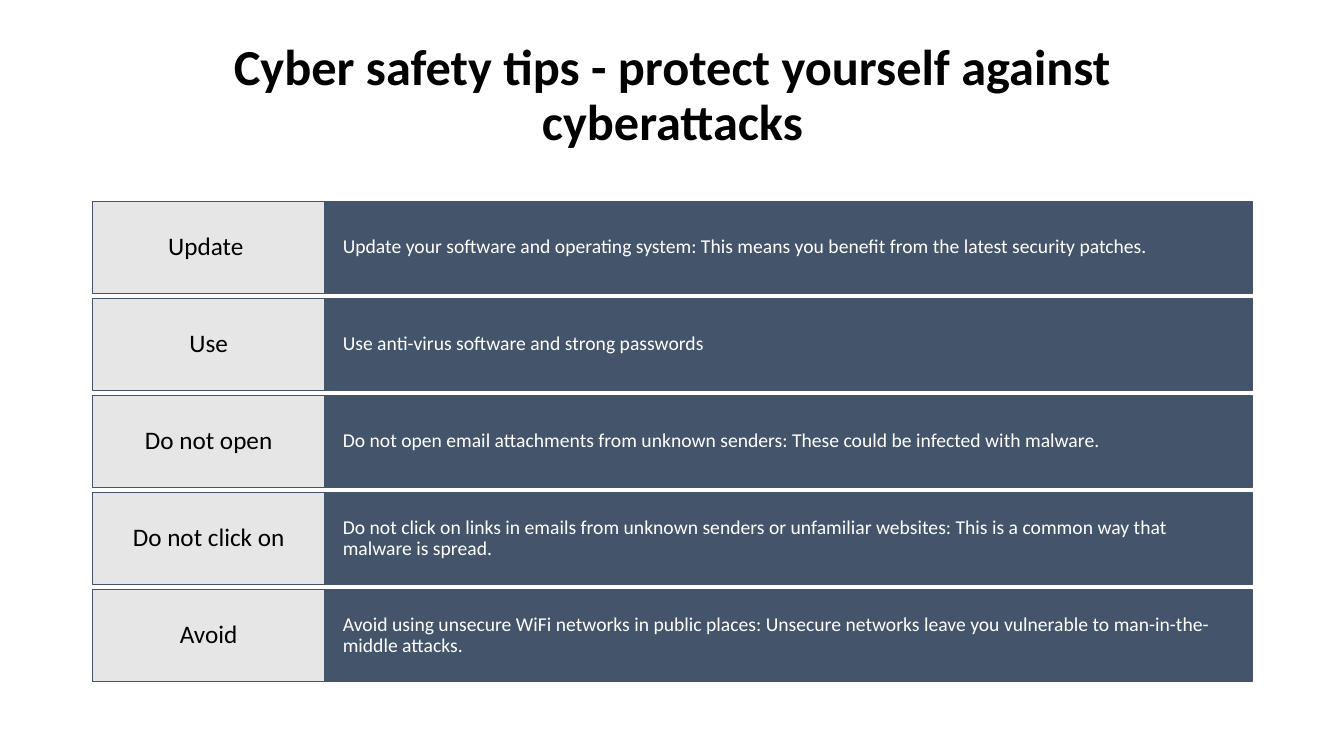
from pptx import Presentation
from pptx.dml.color import RGBColor
from pptx.enum.shapes import MSO_SHAPE as Shape
from pptx.enum.text import MSO_ANCHOR as Anchor, MSO_AUTO_SIZE as AutoSize, PP_ALIGN as Align
from pptx.util import Inches, Pt

FONT = "Calibri"
SLATE = RGBColor(0x44, 0x54, 0x6A)
LIGHT_GREY = RGBColor(0xE7, 0xE6, 0xE6)
BLACK = RGBColor(0, 0, 0)
WHITE = RGBColor(0xFF, 0xFF, 0xFF)

TITLE = "Cyber safety tips - protect yourself against cyberattacks"
TIPS = [
    ("Update ", "Update your software and operating system: This means you benefit "
     "from the latest security patches."),
    ("Use", "Use anti-virus software and strong passwords"),
    ("Do not open", "Do not open email attachments from unknown senders: These could "
     "be infected with malware."),
    ("Do not click on", "Do not click on links in emails from unknown senders or "
     "unfamiliar websites: This is a common way that malware is spread."),
    ("Avoid", "Avoid using unsecure WiFi networks in public places: Unsecure networks "
     "leave you vulnerable to man-in-the-middle attacks."),
]


def write_text(frame, text, size, color, align, bold=False):
    frame.word_wrap = True
    frame.auto_size = AutoSize.NONE
    frame.vertical_anchor = Anchor.MIDDLE
    para = frame.paragraphs[0]
    para.alignment = align
    para.line_spacing = 0.9
    span = para.add_run()
    span.text = text
    span.font.name = FONT
    span.font.size = Pt(size)
    span.font.bold = bold
    span.font.color.rgb = color


def place_title(page, left, top, width, height):
    title = page.shapes.title
    title.left, title.top = Inches(left), Inches(top)
    title.width, title.height = Inches(width), Inches(height)
    write_text(title.text_frame, TITLE, 36, BLACK, Align.CENTER, bold=True)


def add_panel(page, left, top, width, height, fill, inset_x, inset_y):
    box = page.shapes.add_shape(
        Shape.RECTANGLE, Inches(left), Inches(top), Inches(width), Inches(height))
    box.shadow.inherit = False
    box.fill.solid()
    box.fill.fore_color.rgb = fill
    box.line.color.rgb = SLATE
    box.line.width = Pt(1)
    frame = box.text_frame
    frame.margin_left = frame.margin_right = Inches(inset_x)
    frame.margin_top = frame.margin_bottom = Inches(inset_y)
    return frame


def add_tip_rows(page, left, top, width, height, gap=0.05):
    label_width = width / 5
    row_height = (height - gap * (len(TIPS) - 1)) / len(TIPS)
    for index, (label, advice) in enumerate(TIPS):
        row_top = top + index * (row_height + gap)
        # Advice panel on the right
        frame = add_panel(page, left + label_width, row_top, width - label_width,
                          row_height, SLATE, 0.18, 0.23)
        write_text(frame, advice, 14, WHITE, Align.LEFT)
        # Action label on the left
        frame = add_panel(page, left, row_top, label_width, row_height,
                          LIGHT_GREY, 0.12, 0.09)
        write_text(frame, label, 18, BLACK, Align.CENTER)


def main():
    deck = Presentation()
    deck.slide_width, deck.slide_height = Inches(13.33), Inches(7.5)
    page = deck.slides.add_slide(deck.slide_layouts[5])
    place_title(page, 0.92, 0.34, 11.5, 1.24)
    add_tip_rows(page, 0.92, 2, 11.5, 4.76)
    deck.save("out.pptx")


if __name__ == "__main__":
    main()
